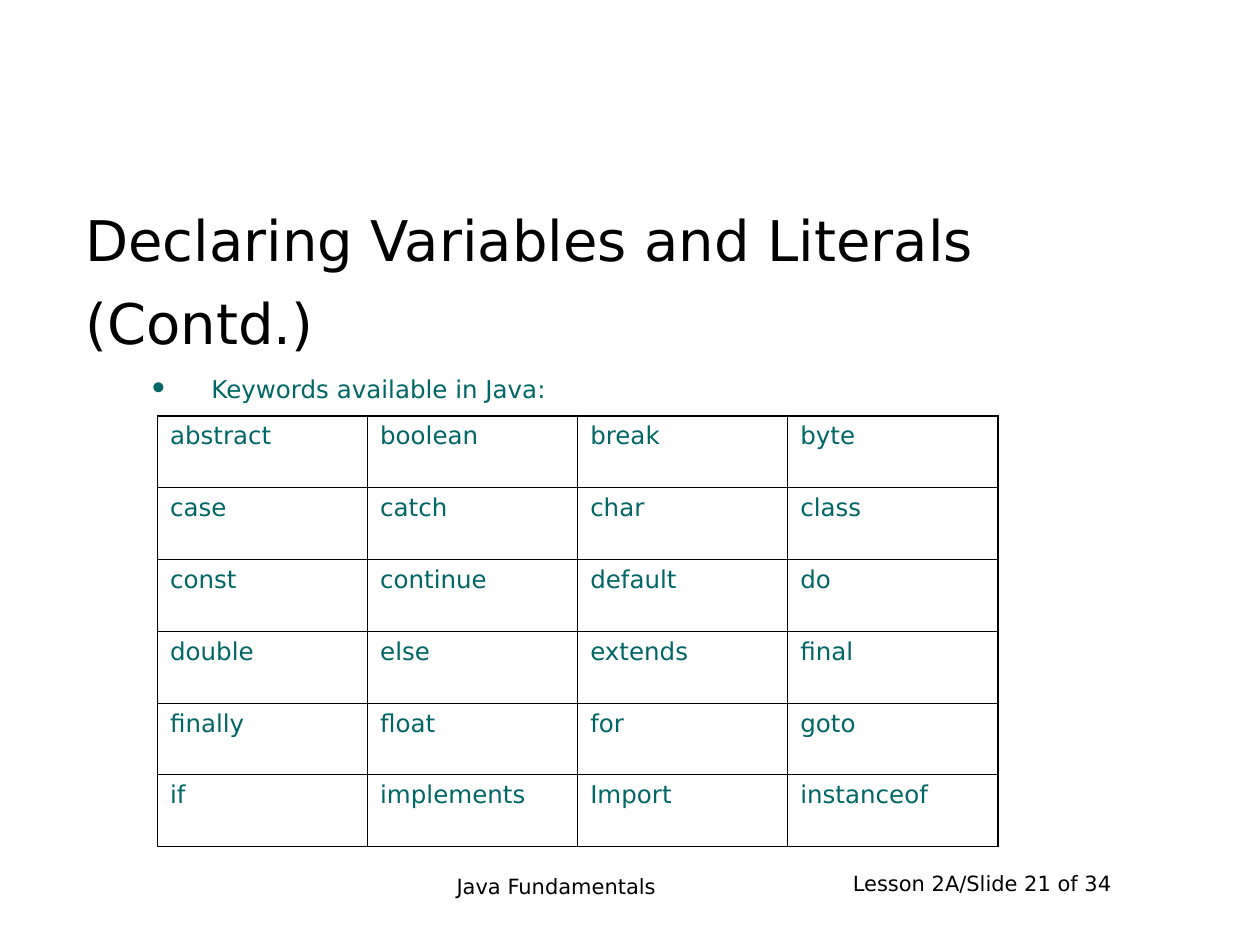
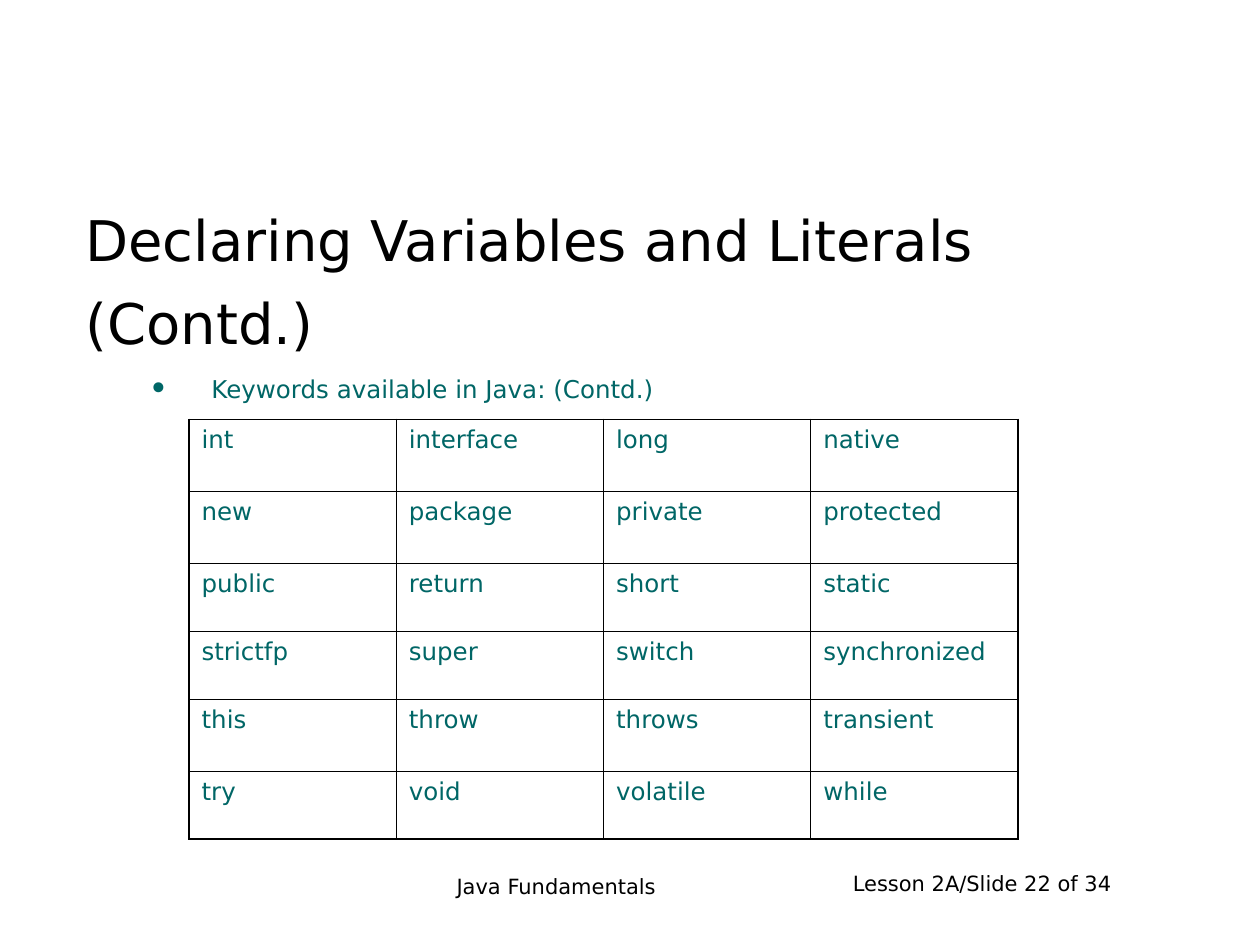
from lxml.etree import SubElement
from pptx import Presentation
from pptx.dml.color import RGBColor
from pptx.enum.text import PP_ALIGN
from pptx.oxml.ns import qn
from pptx.util import Inches, Pt

FONT = "DejaVu Sans"
BLACK = "000000"
TEAL = "006666"
OUTER_LINE, INNER_LINE = 1.08, 0.45
TITLE = ["Declaring Variables and Literals", "(Contd.)"]
COURSE = "Java Fundamentals"
SLIDE_COUNT = 34

SLIDES = [
    {
        "number": 21,
        "lead": "Keywords available in Java:",
        "table": (1.25, 3.3, 6.67),
        "row_heights": [0.57] * 6,
        "keywords": [
            ["abstract", "boolean", "break", "byte"],
            ["case", "catch", "char", "class"],
            ["const", "continue", "default", "do"],
            ["double", "else", "extends", "final"],
            ["finally", "float", "for", "goto"],
            ["if", "implements", "Import", "instanceof"],
        ],
    },
    {
        "number": 22,
        "lead": "Keywords available in Java: (Contd.)",
        "table": (1.5, 3.33, 6.58),
        "row_heights": [0.57, 0.57, 0.54, 0.54, 0.57, 0.54],
        "keywords": [
            ["int", "interface", "long", "native"],
            ["new", "package", "private", "protected"],
            ["public", "return", "short", "static"],
            ["strictfp", "super", "switch", "synchronized"],
            ["this", "throw", "throws", "transient"],
            ["try", "void", "volatile", "while"],
        ],
    },
]


def color(value):
    return RGBColor.from_string(value)


def write(paragraph, text, size=14, fill=BLACK, align=PP_ALIGN.LEFT, before=0):
    paragraph.alignment = align
    paragraph.space_before = Pt(before)
    run = paragraph.add_run()
    run.text = text
    run.font.name = FONT
    run.font.size = Pt(size)
    run.font.color.rgb = color(fill)


def add_frame(slide, left, top, width, height):
    box = slide.shapes.add_textbox(Inches(left), Inches(top), Inches(width), Inches(height))
    box.text_frame.word_wrap = True
    return box.text_frame


def set_bullet(paragraph):
    properties = paragraph._p.get_or_add_pPr()
    properties.set("marL", str(Inches(1)))
    properties.set("indent", str(Inches(-0.5)))
    bullet_color = SubElement(properties, qn("a:buClr"))
    SubElement(bullet_color, qn("a:srgbClr"), val=TEAL)
    SubElement(properties, qn("a:buSzPct"), val="140000")
    SubElement(properties, qn("a:buFont"), typeface=FONT)
    SubElement(properties, qn("a:buChar"), char="•")


def set_borders(cell, widths):
    properties = cell._tc.get_or_add_tcPr()
    for side, width in widths.items():
        line = SubElement(properties, qn(f"a:ln{side}"), w=str(Pt(width)))
        fill = SubElement(line, qn("a:solidFill"))
        SubElement(fill, qn("a:srgbClr"), val=BLACK)


def add_footer(slide, number):
    counter = add_frame(slide, 6.67, 6.86, 2.42, 0.5)
    write(counter.paragraphs[0], f"Lesson 2A/Slide {number} of {SLIDE_COUNT}", size=12)
    course = add_frame(slide, 2.58, 6.88, 3.67, 0.5)
    write(course.paragraphs[0], COURSE, size=12, align=PP_ALIGN.CENTER)


def add_heading(slide, lead):
    frame = add_frame(slide, 0.58, 1.58, 8.83, 4.83)
    write(frame.paragraphs[0], TITLE[0], size=32, before=3.2)
    write(frame.add_paragraph(), TITLE[1], size=32, before=9.3)
    bullet = frame.add_paragraph()
    write(bullet, lead, fill=TEAL, before=10.5)
    set_bullet(bullet)


def add_keyword_table(slide, keywords, place, row_heights):
    left, top, width = place
    row_count, column_count = len(keywords), len(keywords[0])
    table = slide.shapes.add_table(
        row_count, column_count, Inches(left), Inches(top), Inches(width), Inches(sum(row_heights))
    ).table
    table.first_row = table.horz_banding = False
    for row, height in zip(table.rows, row_heights):
        row.height = Inches(height)
    for row, words in enumerate(keywords):
        for column, word in enumerate(words):
            cell = table.cell(row, column)
            write(cell.text_frame.paragraphs[0], word, fill=TEAL)
            on_edge = {
                "L": column == 0,
                "R": column == column_count - 1,
                "T": row == 0,
                "B": row == row_count - 1,
            }
            set_borders(cell, {side: OUTER_LINE if edge else INNER_LINE for side, edge in on_edge.items()})
            cell.fill.background()


def main():
    presentation = Presentation()
    presentation.slide_width = Inches(10)
    presentation.slide_height = Inches(7.5)
    for content in SLIDES:
        slide = presentation.slides.add_slide(presentation.slide_layouts[6])
        add_footer(slide, content["number"])
        add_heading(slide, content["lead"])
        add_keyword_table(slide, content["keywords"], content["table"], content["row_heights"])
    presentation.save("out.pptx")


if __name__ == "__main__":
    main()
